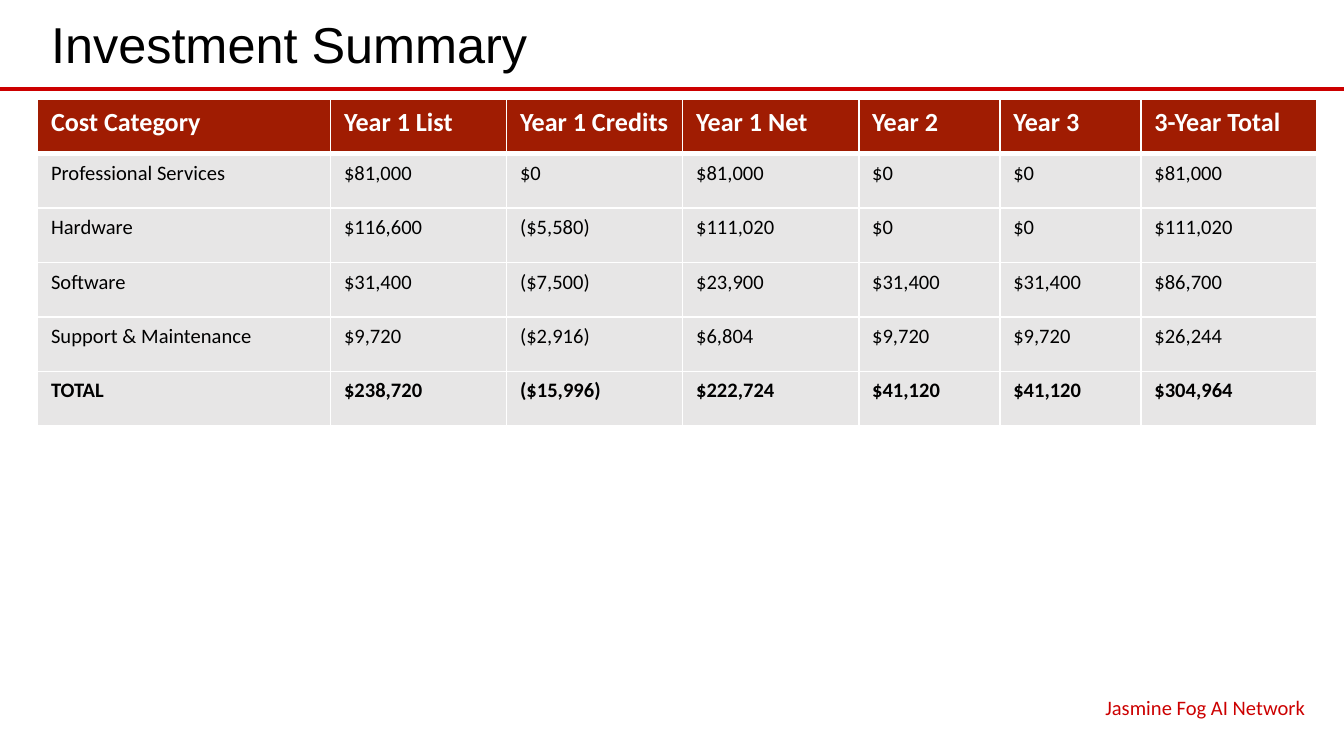
from typing import NamedTuple
from lxml.etree import SubElement as Sub
from pptx import Presentation
from pptx.dml.color import RGBColor
from pptx.enum.shapes import MSO_CONNECTOR as Link
from pptx.enum.text import MSO_ANCHOR as Anchor, MSO_AUTO_SIZE as Fit, PP_ALIGN as Align
from pptx.oxml.ns import qn
from pptx.util import Inches, Pt


class Row(NamedTuple):
    name: str
    costs: tuple[str, ...]
    size: float = 11
    bold: bool = False
    ink: str = "000000"
    fill: str = "E7E6E6"
    top: float = 1
    base: float = 1


WIDTHS = (2.18, 1.31, 1.31, 1.31, 1.05, 1.05, 1.31)
ROWS = (
    Row("Cost Category",
        ("Year 1 List", "Year 1 Credits", "Year 1 Net", "Year 2", "Year 3", "3-Year Total"),
        size=14, bold=True, ink="FFFFFF", fill="A01C02", base=3),
    Row("Professional Services", ("$81,000", "$0", "$81,000", "$0", "$0", "$81,000"), top=3),
    Row("Hardware", ("$116,600", "($5,580)", "$111,020", "$0", "$0", "$111,020")),
    Row("Software", ("$31,400", "($7,500)", "$23,900", "$31,400", "$31,400", "$86,700")),
    Row("Support & Maintenance", ("$9,720", "($2,916)", "$6,804", "$9,720", "$9,720", "$26,244")),
    Row("TOTAL", ("$238,720", "($15,996)", "$222,724", "$41,120", "$41,120", "$304,964"),
        bold=True),
)


def color(code: str) -> RGBColor:
    """Turn a hex string into a colour."""
    return RGBColor.from_string(code)


def write(frame, text: str, *, size: float, ink: str = "000000", face: str = "Calibri",
          bold: bool = False, align=Align.LEFT) -> None:
    """Put one formatted paragraph into a text frame."""
    frame.text = text
    para = frame.paragraphs[0]
    para.alignment = align
    para.space_before = Pt(0)
    font = para.runs[0].font
    font.name, font.size, font.bold = face, Pt(size), bold
    font.color.rgb = color(ink)


def place(shape, left: float, top: float, width: float, height: float) -> None:
    """Set the box of a text shape and centre its text upright."""
    shape.left, shape.top = Inches(left), Inches(top)
    shape.width, shape.height = Inches(width), Inches(height)
    frame = shape.text_frame
    frame.word_wrap, frame.auto_size = True, Fit.NONE
    frame.vertical_anchor = Anchor.MIDDLE


def edge(cell, side: str, width: float) -> None:
    """Draw one white border of a cell."""
    line = Sub(cell._tc.get_or_add_tcPr(), qn(f"a:ln{side}"), w=str(Pt(width)))
    Sub(Sub(line, qn("a:solidFill")), qn("a:srgbClr"), val="FFFFFF")


def draw_row(cells, row: Row) -> None:
    """Fill one table row with its texts, borders and colour."""
    for cell, text in zip(cells, (row.name, *row.costs)):
        write(cell.text_frame, text, size=row.size, ink=row.ink, bold=row.bold)
        for side, width in (("L", 1), ("R", 1), ("T", row.top), ("B", row.base)):
            edge(cell, side, width)
        cell.fill.solid()
        cell.fill.fore_color.rgb = color(row.fill)


def draw_grid(slide) -> None:
    """Add the cost table."""
    grid = slide.shapes.add_table(len(ROWS), len(WIDTHS), Inches(0.28), Inches(0.74),
                                  Inches(sum(WIDTHS)), Inches(2.43)).table
    grid.horz_banding = False
    for col, width in zip(grid.columns, WIDTHS):
        col.width = Inches(width)
    for line, row in zip(grid.rows, ROWS):
        draw_row(line.cells, row)


def draw_rule(slide) -> None:
    """Add the red rule below the title."""
    rule = slide.shapes.add_connector(Link.STRAIGHT, 0, Inches(0.66), Inches(10), Inches(0.66))
    rule.line.color.rgb = color("CC0000")
    rule.line.width = Pt(2.25)
    Sub(rule._element.spPr, qn("a:effectLst"))


def main() -> None:
    """Build the slide and save it."""
    deck = Presentation()
    deck.slide_width, deck.slide_height = Inches(10), Inches(10 * 9 / 16)
    slide = deck.slides.add_slide(deck.slide_layouts[5])
    draw_rule(slide)
    title = slide.shapes.title
    place(title, 0.28, 0.03, 9.53, 0.58)
    write(title.text_frame, "Investment Summary", size=27, face="Arial")
    draw_grid(slide)
    foot = slide.shapes.add_textbox(0, 0, 0, 0)
    place(foot, 6.29, 5.13, 3.52, 0.26)
    write(foot.text_frame, "Jasmine Fog AI Network", size=11, ink="CC0000", align=Align.RIGHT)
    deck.save("out.pptx")


if __name__ == "__main__":
    main()
